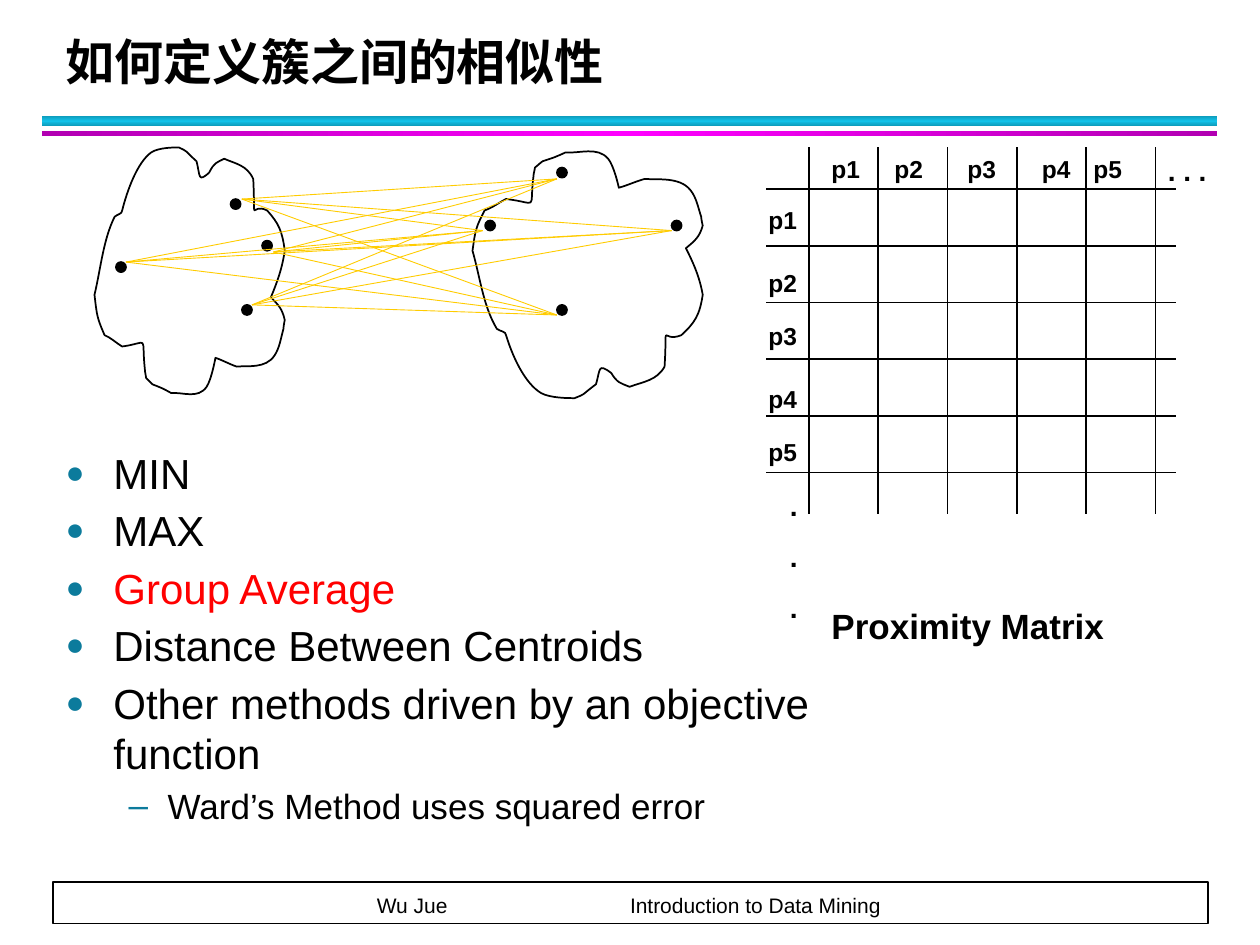
from pptx import Presentation
from pptx.dml.color import RGBColor
from pptx.enum import shapes, text
from pptx.oxml import parse_xml
from pptx.oxml.ns import nsdecls
from pptx.util import Inches, Pt

BLACK = RGBColor(0x00, 0x00, 0x00)
WHITE = RGBColor(0xFF, 0xFF, 0xFF)
RED = RGBColor(0xFF, 0x00, 0x00)
GOLD = RGBColor(0xFF, 0xCC, 0x00)
TEAL = RGBColor(0x0C, 0x7B, 0x9C)

# Content
TITLE = "如何定义簇之间的相似性"
BULLETS = [  # text, level, size, colour
    ("MIN", 0, 24, BLACK),
    ("MAX", 0, 24, BLACK),
    ("Group Average", 0, 24, RED),
    ("Distance Between Centroids", 0, 24, BLACK),
    ("Other methods driven by an objective function", 0, 24, BLACK),
    ("Ward’s Method uses squared error", 1, 20, BLACK),
]
BULLET_STYLES = [  # character, size percent, left margin, hanging indent
    ("●", 75, 0.38, -0.38),
    ("–", 100, 0.81, -0.31),
]
POINTS = ["p1", "p2", "p3", "p4", "p5"]
COLUMN_LEFTS = [6.5, 7, 7.58, 8.17, 8.58]
ROW_TOPS = [1.58, 2.08, 2.5, 3, 3.42]
RULES = [  # top, height, edge colour, middle colour, gradient angle
    (0.92, 0.08, "0E9BBA", "12C2E9", 90),
    (1.04, 0.04, "B200B2", "FF00FF", 0),
]

# Cluster outline: a start point, then Bézier curves (two controls and an end)
CLOUD_START = (0.91, 1.72)
CLOUD_CURVES = [
    ((0.82, 1.9), (0.8, 2.13), (0.75, 2.34)),
    ((0.77, 2.51), (0.77, 2.52), (0.83, 2.66)),
    ((0.88, 2.68), (0.92, 2.72), (0.97, 2.75)),
    ((1.19, 2.72), (1.12, 2.65), (1.15, 2.93)),
    ((1.15, 2.96), (1.16, 2.98), (1.16, 3)),
    ((1.23, 3.07), (1.19, 3.04), (1.26, 3.07)),
    ((1.29, 3.08), (1.36, 3.12), (1.36, 3.12)),
    ((1.45, 3.11), (1.57, 3.17), (1.64, 3.07)),
    ((1.68, 3.01), (1.71, 2.84), (1.71, 2.84)),
    ((1.77, 2.86), (1.82, 2.89), (1.88, 2.91)),
    ((1.96, 2.9), (2.11, 2.93), (2.18, 2.82)),
    ((2.22, 2.76), (2.23, 2.68), (2.25, 2.61)),
    ((2.25, 2.59), (2.26, 2.54), (2.26, 2.54)),
    ((2.24, 2.45), (2.21, 2.42), (2.15, 2.36)),
    ((2.2, 2.24), (2.24, 2.13), (2.26, 1.99)),
    ((2.24, 1.83), (2.21, 1.77), (2.12, 1.67)),
    ((1.98, 1.6), (2.03, 1.82), (2.01, 1.42)),
    ((1.96, 1.31), (1.87, 1.3), (1.78, 1.26)),
    ((1.72, 1.29), (1.7, 1.29), (1.66, 1.37)),
    ((1.57, 1.45), (1.59, 1.4), (1.56, 1.28)),
    ((1.45, 1.18), (1.5, 1.21), (1.42, 1.17)),
    ((1.38, 1.17), (1.26, 1.17), (1.2, 1.21)),
    ((1.09, 1.29), (1.01, 1.51), (0.97, 1.67)),
    ((0.97, 1.7), (0.93, 1.7), (0.91, 1.72)),
]
DOT_SIZE = 0.08
DOTS = [(1.92, 2.42), (1.83, 1.58), (0.92, 2.08), (2.08, 1.91),
        (5.33, 1.75), (3.85, 1.75), (4.42, 2.42), (4.42, 1.33)]
LINK_STARTS = [(2, 2.42), (2.17, 2), (1, 2.08), (1.92, 1.58)]
LINK_ENDS = [(4.42, 2.5), (3.83, 1.83), (4.42, 1.42), (5.33, 1.83)]

deck = Presentation()
deck.slide_width, deck.slide_height = Inches(10), Inches(7.5)
page = deck.slides.add_slide(deck.slide_layouts[1])


def place(item, left, top, width, height):
    item.left, item.top = Inches(left), Inches(top)
    item.width, item.height = Inches(width), Inches(height)


def style(para, size, color=BLACK, bold=False, name="Arial"):
    for span in para.runs:
        span.font.size, span.font.name = Pt(size), name
        span.font.bold, span.font.color.rgb = bold, color


def add_line(start, end, color=BLACK, width=1):
    line = page.shapes.add_connector(
        shapes.MSO_CONNECTOR.STRAIGHT, *[Inches(v) for v in (*start, *end)])
    line.line.color.rgb, line.line.width = color, Pt(width)
    line._element.spPr.append(parse_xml(f"<a:effectLst {nsdecls('a')}/>"))


def add_box(kind, left, top, width, height, fill):
    box = page.shapes.add_shape(
        kind, *[Inches(v) for v in (left, top, width, height)])
    box.shadow.inherit = False
    box.fill.solid()
    box.fill.fore_color.rgb = fill
    box.line.color.rgb, box.line.width = BLACK, Pt(1)
    return box


def add_label(words, left, top, width, height, size, before):
    box = page.shapes.add_textbox(
        *[Inches(v) for v in (left, top, width, height)])
    box.text_frame.word_wrap = True
    box.text_frame.text = words
    for para in box.text_frame.paragraphs:
        para.space_before = Pt(before)
        style(para, size, bold=True)


def add_cloud(move):
    """Draw the cluster outline with every point passed through move."""
    def spot(point):
        return tuple(Inches(v) for v in move(*point))

    builder = page.shapes.build_freeform(*spot(CLOUD_START))
    builder.add_line_segments([spot(curve[-1]) for curve in CLOUD_CURVES], close=True)
    cloud = builder.convert_to_shape()
    cloud.shadow.inherit = False
    cloud.fill.background()
    cloud.line.color.rgb, cloud.line.width = BLACK, Pt(1)
    # Turn each straight segment into its curve
    segments = list(cloud._element.iter("{*}lnTo"))
    for segment, curve in zip(segments, CLOUD_CURVES):
        corners = "".join(f'<a:pt x="{x - cloud.left}" y="{y - cloud.top}"/>'
                          for x, y in map(spot, curve))
        segment.getparent().replace(segment, parse_xml(
            f'<a:cubicBezTo {nsdecls("a")}>{corners}</a:cubicBezTo>'))


# Rules under the title
for top, height, edge, middle, angle in RULES:
    rule = add_box(shapes.MSO_SHAPE.RECTANGLE, 0.33, top, 9.33, height, WHITE)
    rule.line.fill.background()
    stops = "".join(f'<a:gs pos="{pos}"><a:srgbClr val="{color}"/></a:gs>'
                    for pos, color in ((0, edge), (50000, middle), (100000, edge)))
    properties = rule._element.spPr
    properties.replace(properties.find("{*}solidFill"), parse_xml(
        f'<a:gradFill {nsdecls("a")}><a:gsLst>{stops}</a:gsLst>'
        f'<a:lin ang="{angle * 60000}" scaled="0"/></a:gradFill>'))

# Footer
add_box(shapes.MSO_SHAPE.RECTANGLE, 0.42, 7, 9.17, 0.33, WHITE)
footer = page.shapes.add_textbox(Inches(0.42), Inches(7), Inches(9.15), Inches(0.28))
frame = footer.text_frame
frame.word_wrap, frame.vertical_anchor = True, text.MSO_ANCHOR.BOTTOM
frame.margin_left, frame.margin_right = Inches(2.57), 0
frame.margin_top = frame.margin_bottom = 0
frame.text = "Wu Jue\tIntroduction to Data Mining"
para = frame.paragraphs[0]
para.line_spacing = Pt(20)
para._p.get_or_add_pPr().append(parse_xml(
    f'<a:tabLst {nsdecls("a")}><a:tab pos="{Inches(2.01)}" algn="l"/></a:tabLst>'))
style(para, 12)

# Title
title = page.shapes.title
place(title, 0.42, 0.17, 9.06, 0.6)
title.text_frame.text = TITLE
title.text_frame.auto_size = text.MSO_AUTO_SIZE.NONE
title.text_frame.vertical_anchor = text.MSO_ANCHOR.BOTTOM
para = title.text_frame.paragraphs[0]
para.alignment, para.line_spacing = text.PP_ALIGN.LEFT, Pt(36)
style(para, 28, bold=True, name="Cabin")

# Proximity matrix
for index in range(6):
    x, y = 6.42 + 0.55 * index, 1.5 + 0.45 * index
    add_line((x, 1.17), (x, 4.08))
    add_line((6.08, y), (9.33, y))
for point, left, top in zip(POINTS, COLUMN_LEFTS, ROW_TOPS):
    add_label(point, left, 1.17, 0.58, 0.34, 14, 8.8)
    add_label(point, 6, top, 0.58, 0.34, 14, 8.8)
add_label(". . .", 9.17, 1.17, 0.58, 0.37, 16, 10)
add_label(".\n.\n.", 6.17, 3.83, 0.58, 1.18, 16, 10)
add_label("Proximity Matrix", 6.5, 4.75, 2.75, 0.44, 20, 12.5)

# Clusters: the second is the first one flipped and widened
add_cloud(lambda x, y: (x, y))
add_cloud(lambda x, y: (3.75 + (x - 0.75) * 1.21, 4.33 - y))
for left, top in DOTS:
    add_box(shapes.MSO_SHAPE.OVAL, left, top, DOT_SIZE, DOT_SIZE, BLACK)
for start in LINK_STARTS:
    for end in LINK_ENDS:
        add_line(start, end, GOLD, 0.5)

# Bullet list
body = page.placeholders[1]
place(body, 0.42, 3.5, 6.33, 3.42)
body.text_frame.text = "\n".join(words for words, *_ in BULLETS)
body.text_frame.auto_size = text.MSO_AUTO_SIZE.NONE
for para, (_, level, size, color) in zip(body.text_frame.paragraphs, BULLETS):
    mark, percent, margin, indent = BULLET_STYLES[level]
    para.level, para.line_spacing = level, 1.0
    para.space_before = para.space_after = Pt(2)
    style(para, size, color)
    properties = para._p.get_or_add_pPr()
    properties.set("marL", str(Inches(margin)))
    properties.set("indent", str(Inches(indent)))
    for tag in (f'buClr {nsdecls("a")}><a:srgbClr val="{TEAL}"/></a:buClr',
                f'buSzPct {nsdecls("a")} val="{percent * 1000}"/',
                f'buFont {nsdecls("a")} typeface="Arial"/',
                f'buChar {nsdecls("a")} char="{mark}"/'):
        properties.append(parse_xml(f"<a:{tag}>"))

deck.save("out.pptx")
